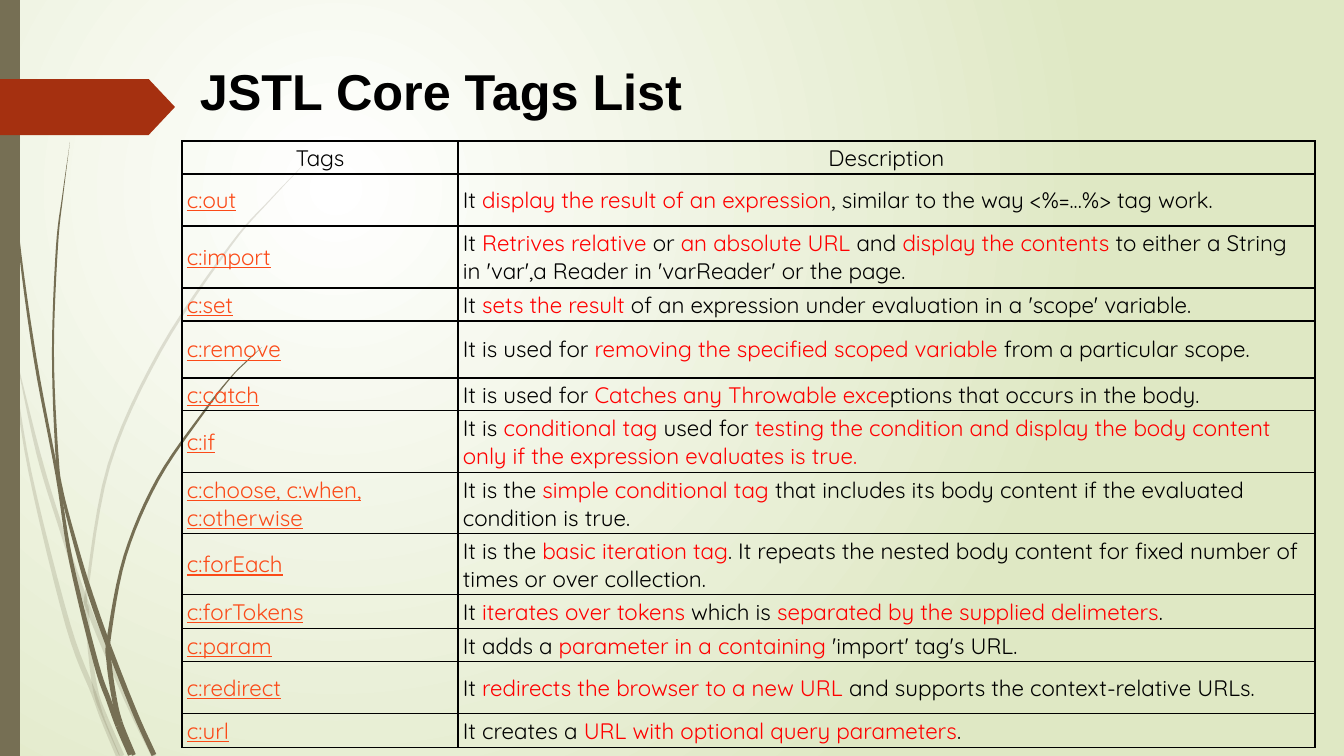
from math import hypot
from lxml.etree import SubElement
from pptx import Presentation
from pptx.dml.color import RGBColor
from pptx.enum.shapes import MSO_SHAPE
from pptx.enum.text import MSO_ANCHOR, PP_ALIGN
from pptx.oxml.ns import qn
from pptx.util import Pt

TITLE = "JSTL Core Tags List"
HEADINGS = ("Tags", "Description")
TAGS = [
    ("c:out", 52, "It |display the result of an expression|, similar to the way <%=...%> tag work."),
    ("c:import", 62, "It |Retrives relative| or |an absolute URL| and |display the contents |"
     "to either a String in 'var',a Reader in 'varReader' or the page."),
    ("c:set", 33, "It |sets the result |of an expression under evaluation in a 'scope' variable."),
    ("c:remove", 57, "It is used for |removing the specified scoped variable |from a particular scope."),
    ("c:catch", 33, "It is used for |Catches any Throwable exce|ptions that occurs in the body."),
    ("c:if", 62, "It is |conditional tag |used for |testing the condition and display the body "
     "content only if the expression evaluates is true."),
    ("c:choose, c:when, c:otherwise", 61, "It is the |simple conditional tag |"
     "that includes its body content if the evaluated condition is true."),
    ("c:forEach", 61, "It is the |basic iteration tag|. It repeats the nested body content "
     "for fixed number of times or over collection."),
    ("c:forTokens", 34, "It |iterates over tokens |which is |separated by the supplied delimeters|."),
    ("c:param", 33, "It adds a |parameter in a containing |'import' tag's URL."),
    ("c:redirect", 52, "It |redirects the browser to a new URL |and supports the context-relative URLs."),
    ("c:url", 34, "It creates a |URL with optional query parameters|."),
]
HEADING_HEIGHT = 33
COLUMNS = (276, 857)

BLACK, RED, LINK = "000000", "FF0000", "FB4A18"
STEM, ARROW = "766F54", "A53010"

PALE_BLADES = [
    ((1, 5), [(0, 293, 4), (11, 353, 2), (30, 472, 3), (68, 625, 5), (94, 694, 5),
              (103, 720, 4), (118, 756, 4)]),
    ((3,), [(14, 348, 0), (38, 452, 4), (60, 525, 4), (86, 602, 5), (126, 698, 5), (154, 756, 5)]),
    ((5, 6, 8, 9), [(314, 154, 0), (271, 199, 1), (230, 246, 2), (160, 351, 3), (109, 465, 3),
                    (87, 589, 3), (87, 610, 4), (90, 651, 4), (96, 692, 5), (105, 717, 5),
                    (122, 756, 5)]),
]
DARK_BLADES = [
    ((5, 9), [(3, 0, 1), (4, 48, 1), (8, 110, 1), (18, 234, 2), (35, 358, 3), (57, 475, 3),
              (71, 561, 4), (96, 663, 5), (109, 701, 5), (118, 726, 5), (130, 755, 4)]),
    ((4, 5, 8), [(70, 142, 0), (63, 194, 1), (57, 247, 2), (53, 352, 2), (57, 455, 3),
                 (62, 492, 3), (78, 553, 4), (91, 596, 5), (109, 647, 5), (135, 713, 5),
                 (154, 755, 5)]),
    ((6, 7, 8, 9), [(262, 347, 0), (247, 361, 1), (232, 376, 1), (206, 409, 2), (158, 479, 3),
                    (125, 556, 3), (109, 637, 4), (109, 662, 5), (114, 697, 5), (120, 722, 5),
                    (134, 755, 4)]),
]
STEPS = 6


def px(length):
    return round(length * 914400 / 100.8)


def rgb(colour):
    return RGBColor.from_string(colour)


def paint(shape, colour, opacity=100):
    shape.shadow.inherit = False
    shape.line.fill.background()
    shape.fill.solid()
    shape.fill.fore_color.rgb = rgb(colour)
    if opacity < 100:
        tint = shape._element.spPr.find(".//" + qn("a:srgbClr"))
        SubElement(tint, qn("a:alpha"), val=str(opacity * 1000))


def style(span, size, font, colour):
    span.font.size = Pt(size)
    span.font.name = font
    span.font.color.rgb = rgb(colour)


def smooth(points):
    padded = [points[0], *points, points[-1]]
    curve = []
    for a, b, c, d in zip(padded, padded[1:], padded[2:], padded[3:]):
        for step in range(STEPS):
            t = step / STEPS
            curve.append([
                q + t * (r - p + t * (2 * p - 5 * q + 4 * r - s + t * (3 * q - p - 3 * r + s))) / 2
                for p, q, r, s in zip(a, b, c, d)
            ])
    return curve + [points[-1]]


def add_blade(page, joints, points, opacity):
    curve = smooth(points)
    left, right = [], []
    for before, (x, y, width), after in zip([curve[0]] + curve, curve, curve[1:] + [curve[-1]]):
        dx, dy = after[0] - before[0], after[1] - before[1]
        reach = max(width, 0) / 2 / hypot(dx, dy)
        left.append((px(max(x - dy * reach, 0)), px(y + dx * reach)))
        right.append((px(x + dy * reach), px(y - dx * reach)))
    bounds = (0, *joints, len(points) - 1)
    for first, last in zip(bounds, bounds[1:]):
        stretch = slice(first * STEPS, last * STEPS + 1)
        outline = left[stretch] + right[stretch][::-1]
        builder = page.shapes.build_freeform(*outline[0], scale=1.0)
        builder.add_line_segments(outline[1:], close=True)
        paint(builder.convert_to_shape(), STEM, opacity)


def set_background(page):
    fill = page.background.fill
    fill.gradient()
    for stop, position, colour in zip(fill.gradient_stops, (0, 1), ("FFFFFF", "DFE8C4")):
        stop.position = position
        stop.color.rgb = rgb(colour)
    gradient = page._element.find(".//" + qn("a:gradFill"))
    for linear in gradient.findall(qn("a:lin")):
        gradient.remove(linear)
    circle = SubElement(gradient, qn("a:path"), path="circle")
    SubElement(circle, qn("a:fillToRect"), l="50000", t="50000", r="100000", b="100000")


def fill_cell(cell, spans, centred=False, underline=False):
    cell.vertical_anchor = MSO_ANCHOR.MIDDLE
    cell.margin_left = cell.margin_right = px(5)
    cell.margin_top = cell.margin_bottom = px(3)
    properties = cell._tc.get_or_add_tcPr()
    for side in ("lnL", "lnR", "lnT", "lnB"):
        border = SubElement(properties, qn("a:" + side), w=str(Pt(1)))
        SubElement(SubElement(border, qn("a:solidFill")), qn("a:srgbClr"), val=BLACK)
    cell.fill.background()
    para = cell.text_frame.paragraphs[0]
    para.alignment = PP_ALIGN.CENTER if centred else PP_ALIGN.LEFT
    for text, colour in spans:
        span = para.add_run()
        span.text = text
        style(span, 16, "Quicksand", colour)
        span.font.underline = underline


def add_tag_table(page):
    heights = [HEADING_HEIGHT] + [height for _, height, _ in TAGS]
    frame = page.shapes.add_table(len(heights), len(COLUMNS), px(182), px(141),
                                  px(sum(COLUMNS)), px(sum(heights)))
    table = frame.table
    table.first_row = table.horz_banding = False
    for column, width in zip(table.columns, COLUMNS):
        column.width = px(width)
    for row, height in zip(table.rows, heights):
        row.height = px(height)
    for column, heading in enumerate(HEADINGS):
        fill_cell(table.cell(0, column), [(heading, BLACK)], centred=True)
    for row, (tag, _, description) in enumerate(TAGS, 1):
        fill_cell(table.cell(row, 0), [(tag, LINK)], underline=True)
        spans = [(text, RED if index % 2 else BLACK)
                 for index, text in enumerate(description.split("|"))]
        fill_cell(table.cell(row, 1), spans)


def main():
    deck = Presentation()
    deck.slide_width, deck.slide_height = px(1344), px(756)
    page = deck.slides.add_slide(deck.slide_layouts[6])
    set_background(page)

    for blades, opacity in ((PALE_BLADES, 20), (DARK_BLADES, 100)):
        for joints, points in blades:
            add_blade(page, joints, points, opacity)

    bar = page.shapes.add_shape(MSO_SHAPE.RECTANGLE, 0, 0, px(20), px(756))
    paint(bar, STEM)
    arrow = page.shapes.add_shape(MSO_SHAPE.PENTAGON, 0, px(79), px(175), px(56))
    arrow.adjustments[0] = 0.47
    paint(arrow, ARROW)

    box = page.shapes.add_textbox(px(190), px(55), px(983), px(141))
    box.text_frame.word_wrap = True
    box.text_frame.text = TITLE
    span = box.text_frame.paragraphs[0].runs[0]
    style(span, 36, "Arial", BLACK)
    span.font.bold = True

    add_tag_table(page)
    deck.save("out.pptx")


if __name__ == "__main__":
    main()
